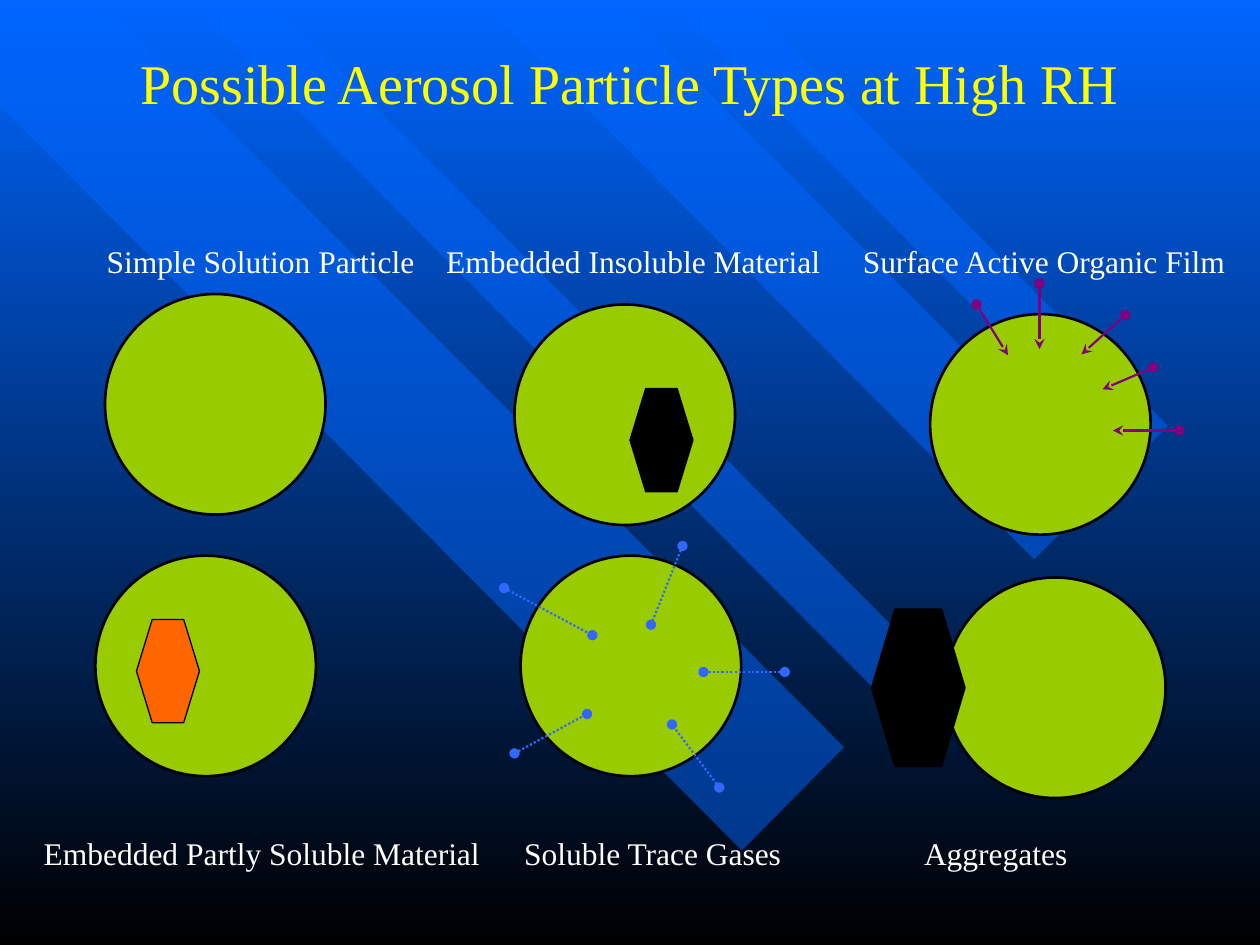
from lxml.etree import SubElement
from pptx import Presentation
from pptx.dml.color import RGBColor
from pptx.enum.dml import MSO_LINE
from pptx.enum.shapes import MSO_CONNECTOR, MSO_SHAPE
from pptx.enum.text import MSO_ANCHOR, PP_ALIGN
from pptx.oxml.ns import qn
from pptx.util import Pt

# Content: all lengths in points
FONT = "Times New Roman"
BLUE, BLACK, WHITE, YELLOW = "0066FF", "000000", "FFFFFF", "FFFF00"
GREEN, ORANGE, PURPLE, GAS_BLUE = "99CC00", "FF6600", "800080", "3366FF"
DROPLET_SIZE = 126
UPPER_CAPTION, LOWER_CAPTION = 138.3, 476.8

TITLE = "Possible Aerosol Particle Types at High RH"

BANDS = [
    [(482.4, 427), (57, 0), (0, 0), (0, 60.5), (424, 486)],
    [(154, 0), (531.4, 379.4), (508.3, 402.5), (107.3, 0)],
    [(352, 0), (630.7, 280), (591, 319.7), (273.6, 0)],
    [(381.6, 0), (645.8, 265), (667.4, 243.4), (425.5, 0)],
]

SURFACTANTS = [
    ((594, 162), (594, 199.5)),
    ((659, 210), (630, 222.5)),
    ((558, 174), (576, 203)),
    ((643, 180), (618, 202.5)),
    ((674, 246), (636, 246)),
]
GASES = [
    ((448.5, 384), (402, 384)),
    ((390, 312), (372, 357)),
    ((288, 336), (338.5, 363)),
    ((411, 450), (384, 414)),
    ((294, 430.5), (335.5, 408)),
]

# caption, its (left, top, width), droplet's (left, top), then inclusion or molecules
PARTICLES = [
    {"caption": "Simple Solution Particle", "box": (61, UPPER_CAPTION, 185),
     "droplet": (60, 168)},
    {"caption": "Embedded Insoluble Material", "box": (255, UPPER_CAPTION, 225),
     "droplet": (294, 174), "inclusion": (360, 222, 36, 59, BLACK)},
    {"caption": "Surface Active Organic Film", "box": (493, UPPER_CAPTION, 220),
     "droplet": (531.5, 179.5), "molecules": SURFACTANTS,
     "style": (PURPLE, "stealth", MSO_LINE.SOLID)},
    {"caption": "Embedded Partly Soluble Material", "box": (25, LOWER_CAPTION, 260),
     "droplet": (54.5, 317.5), "inclusion": (78, 354, 36, 59, ORANGE)},
    {"caption": "Soluble Trace Gases", "box": (299.5, LOWER_CAPTION, 160),
     "droplet": (297.5, 317.5), "molecules": GASES,
     "style": (GAS_BLUE, "oval", MSO_LINE.ROUND_DOT)},
    {"caption": "Aggregates", "box": (528, LOWER_CAPTION, 95),
     "droplet": (540, 330), "inclusion": (498, 348, 53.5, 90, BLACK)},
]


def rgb(color):
    return RGBColor.from_string(color)


def write(frame, text, size, color, align):
    frame.margin_left = frame.margin_right = frame.margin_top = frame.margin_bottom = 0
    frame.word_wrap = True
    frame.vertical_anchor = MSO_ANCHOR.TOP
    paragraph = frame.paragraphs[0]
    paragraph.alignment = align
    run = paragraph.add_run()
    run.text = text
    run.font.name = FONT
    run.font.size = Pt(size)
    run.font.color.rgb = rgb(color)


def add_band(points):
    corners = [(Pt(x), Pt(y)) for x, y in points]
    builder = shapes.build_freeform(*corners[0])
    builder.add_line_segments(corners[1:], close=True)
    band = builder.convert_to_shape()
    band.shadow.inherit = False
    band.fill.solid()
    band.fill.fore_color.rgb = rgb(BLUE)
    band.line.fill.background()
    color = band._element.spPr.find(qn("a:solidFill")).find(qn("a:srgbClr"))
    SubElement(color, qn("a:alpha"), val="50000")


def add_body(preset, left, top, width, height, fill, line_width):
    body = shapes.add_shape(preset, Pt(left), Pt(top), Pt(width), Pt(height))
    body.shadow.inherit = False
    body.fill.solid()
    body.fill.fore_color.rgb = rgb(fill)
    body.line.color.rgb = rgb(BLACK)
    body.line.width = Pt(line_width)


def add_molecule(start, end, color, tip, dash):
    molecule = shapes.add_connector(MSO_CONNECTOR.STRAIGHT,
                                    *(Pt(v) for v in start + end))
    molecule.line.color.rgb = rgb(color)
    molecule.line.width = Pt(1.25)
    molecule.line.dash_style = dash
    properties = molecule._element.spPr
    outline = properties.find(qn("a:ln"))
    SubElement(outline, qn("a:headEnd"), type="oval")
    SubElement(outline, qn("a:tailEnd"), type=tip)
    SubElement(properties, qn("a:effectLst"))


prs = Presentation()
prs.slide_width, prs.slide_height = Pt(720), Pt(540)
slide = prs.slides.add_slide(prs.slide_layouts[5])
shapes = slide.shapes

# Background: vertical gradient with diagonal bands
backdrop = slide.background.fill
backdrop.gradient()
backdrop.gradient_angle = 270
for stop, color in zip(backdrop.gradient_stops, (BLUE, BLACK)):
    stop.color.rgb = rgb(color)
for points in BANDS:
    add_band(points)

# Title, brought in front of the bands
title = shapes.title
title.left, title.top, title.width, title.height = Pt(36), Pt(27.5), Pt(648), Pt(40)
write(title.text_frame, TITLE, 32, YELLOW, PP_ALIGN.CENTER)
shapes._spTree.append(title._element)

# Particles with their inclusions and molecules
for particle in PARTICLES:
    add_body(MSO_SHAPE.OVAL, *particle["droplet"], DROPLET_SIZE, DROPLET_SIZE, GREEN, 1.5)
    if "inclusion" in particle:
        add_body(MSO_SHAPE.HEXAGON, *particle["inclusion"], 0.75)
    for start, end in particle.get("molecules", []):
        add_molecule(start, end, *particle["style"])

# Captions, in front of everything
for particle in PARTICLES:
    left, top, width = particle["box"]
    caption = shapes.add_textbox(Pt(left), Pt(top), Pt(width), Pt(21))
    write(caption.text_frame, particle["caption"], 18, WHITE, PP_ALIGN.LEFT)

prs.save("out.pptx")
